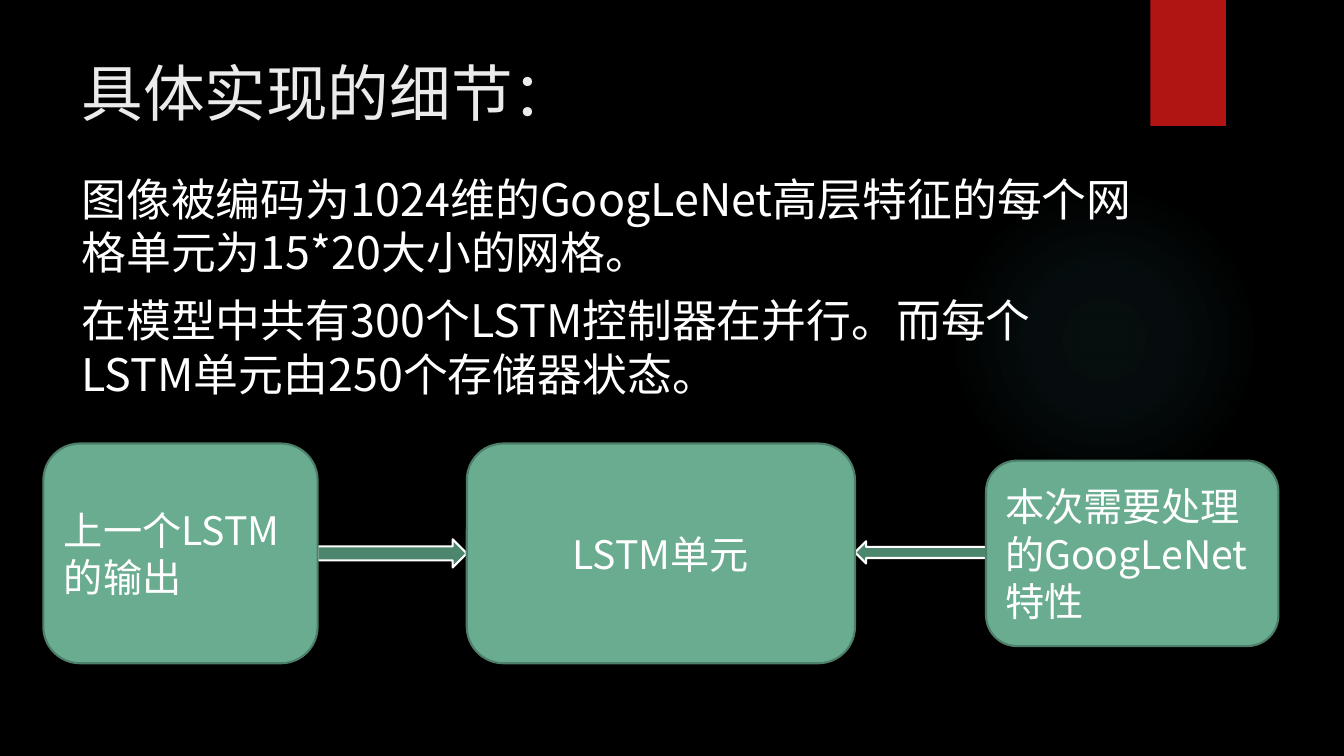
from lxml import etree
from pptx import Presentation
from pptx.dml.color import RGBColor
from pptx.enum.shapes import MSO_SHAPE as Kind
from pptx.enum.text import MSO_ANCHOR as Anchor, PP_ALIGN as Align
from pptx.oxml import parse_xml
from pptx.oxml.ns import nsdecls, qn
from pptx.util import Pt

PX = 9144  # 100 px to the inch
FONT = "Noto Sans CJK SC"
BLACK = RGBColor(0x00, 0x00, 0x00)
WHITE = RGBColor(0xFF, 0xFF, 0xFF)
PALE = RGBColor(0xEB, 0xEB, 0xEB)
RED = RGBColor(0xB0, 0x15, 0x13)
GREEN = RGBColor(0x6A, 0xAC, 0x90)
EDGE = RGBColor(0x4E, 0x7F, 0x6B)
DARK = RGBColor(0x4B, 0x86, 0x6D)
GLOW = RGBColor(0x50, 0xB9, 0xC1)

deck = Presentation()
deck.slide_width, deck.slide_height = 1333 * PX, 750 * PX
slide = deck.slides.add_slide(deck.slide_layouts[6])
slide.background.fill.solid()
slide.background.fill.fore_color.rgb = BLACK


def draw(kind, box, fill, line=None):
    shape = slide.shapes.add_shape(kind, *[n * PX for n in box])
    shape.shadow.inherit = False
    shape.fill.solid()
    shape.fill.fore_color.rgb = fill
    if line is None:
        shape.line.fill.background()
    else:
        shape.line.color.rgb = line
        shape.line.width = Pt(1.5)
    return shape


def write(para, text, size, color):
    run = para.add_run()
    run.text = text
    run.font.size = Pt(size)
    run.font.name = FONT
    run.font.color.rgb = color
    east = etree.SubElement(run.font._element, qn("a:ea"))
    east.set("typeface", FONT)


# Soft round glow
glow = draw(Kind.OVAL, (941, 183, 308, 308), GLOW)
stops = "".join(
    f'<a:gs pos="{pos}000"><a:srgbClr val="{GLOW}"><a:alpha val="{alpha}000"/></a:srgbClr></a:gs>'
    for pos, alpha in ((0, 7), (36, 6), (69, 0), (100, 0)))
grad = parse_xml(
    f'<a:gradFill {nsdecls("a")}><a:gsLst>{stops}</a:gsLst><a:path path="circle">'
    '<a:fillToRect l="50000" t="50000" r="50000" b="50000"/></a:path></a:gradFill>')
props = glow._element.spPr
props.replace(props.find(qn("a:solidFill")), grad)

# Red tab with its shadow
tab = draw(Kind.RECTANGLE, (1141, 0, 75, 125), RED)
tab._element.spPr.find(qn("a:effectLst")).append(parse_xml(
    f'<a:outerShdw {nsdecls("a")} blurRad="38100" dist="25400" dir="5400000">'
    '<a:srgbClr val="000000"><a:alpha val="45000"/></a:srgbClr></a:outerShdw>'))

# Title and body
texts = [
    ((71, 50, 1029, 153), 44, PALE, 0, ["具体实现的细节："]),
    ((71, 165, 1067, 459), 32, WHITE, 10, [
        "图像被编码为1024维的GoogLeNet高层特征的每个网格单元为15*20大小的网格。",
        "在模型中共有300个LSTM控制器在并行。而每个LSTM单元由250个存储器状态。"]),
]
for box, size, color, gap, lines in texts:
    frame = slide.shapes.add_textbox(*[n * PX for n in box]).text_frame
    frame.word_wrap = True
    for i, line in enumerate(lines):
        para = frame.add_paragraph() if i else frame.paragraphs[0]
        para.space_before = Pt(gap)
        write(para, line, size, color)

# Arrows into the LSTM unit
for box, turn in (((315, 535, 148, 28), 0), ((848, 537, 130, 22), 180)):
    draw(Kind.RIGHT_ARROW, box, DARK, WHITE).rotation = turn

# Boxes of the flow
boxes = [
    ((43, 440, 272, 218), "上一个LSTM的输出", Align.LEFT),
    ((978, 457, 290, 184), "本次需要处理的GoogLeNet特性", Align.LEFT),
    ((463, 440, 385, 218), "LSTM单元", Align.CENTER),
]
for box, text, align in boxes:
    frame = draw(Kind.ROUNDED_RECTANGLE, box, GREEN, EDGE).text_frame
    frame.word_wrap = True
    frame.vertical_anchor = Anchor.MIDDLE
    para = frame.paragraphs[0]
    para.alignment = align
    write(para, text, 28, WHITE)

deck.save("out.pptx")
